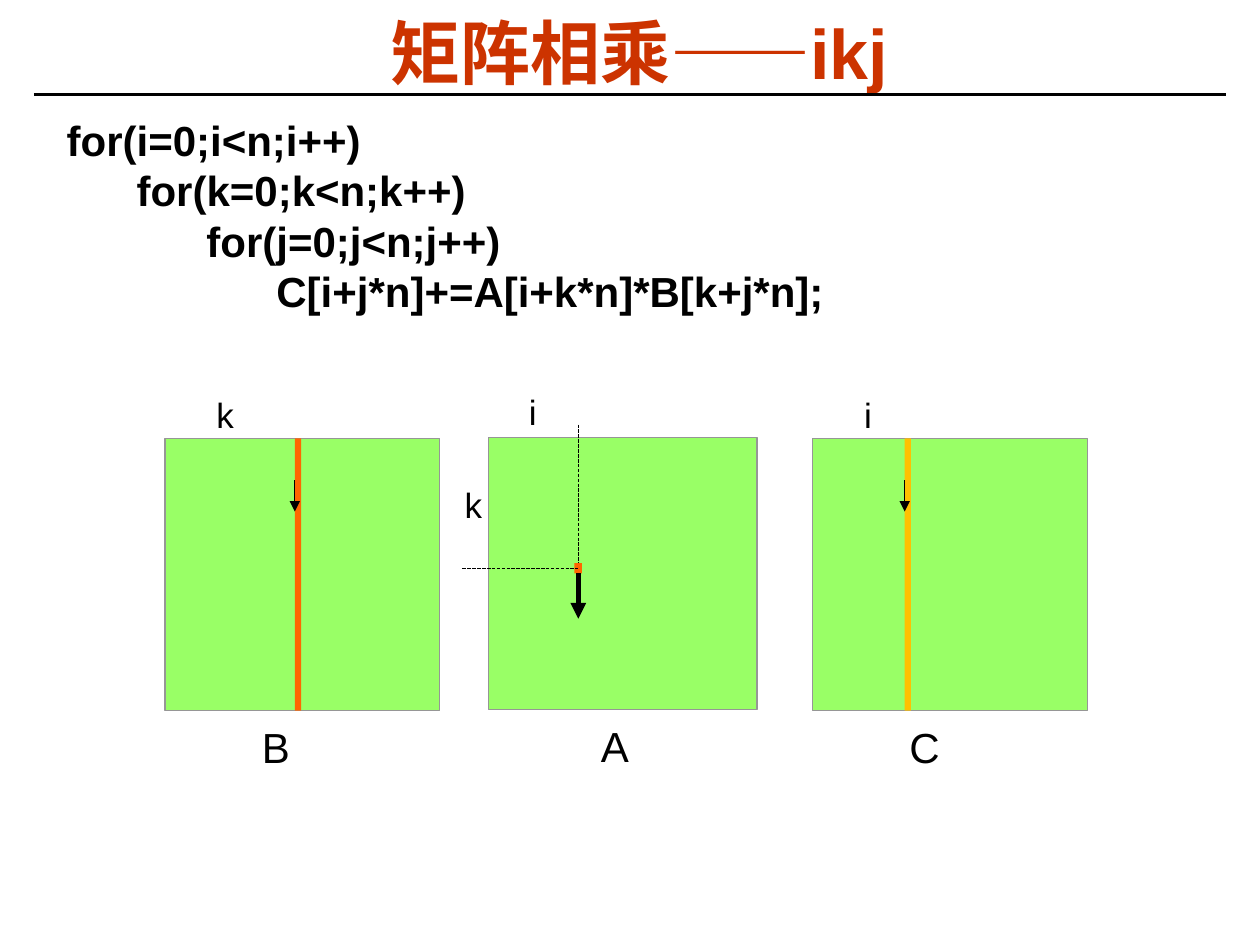
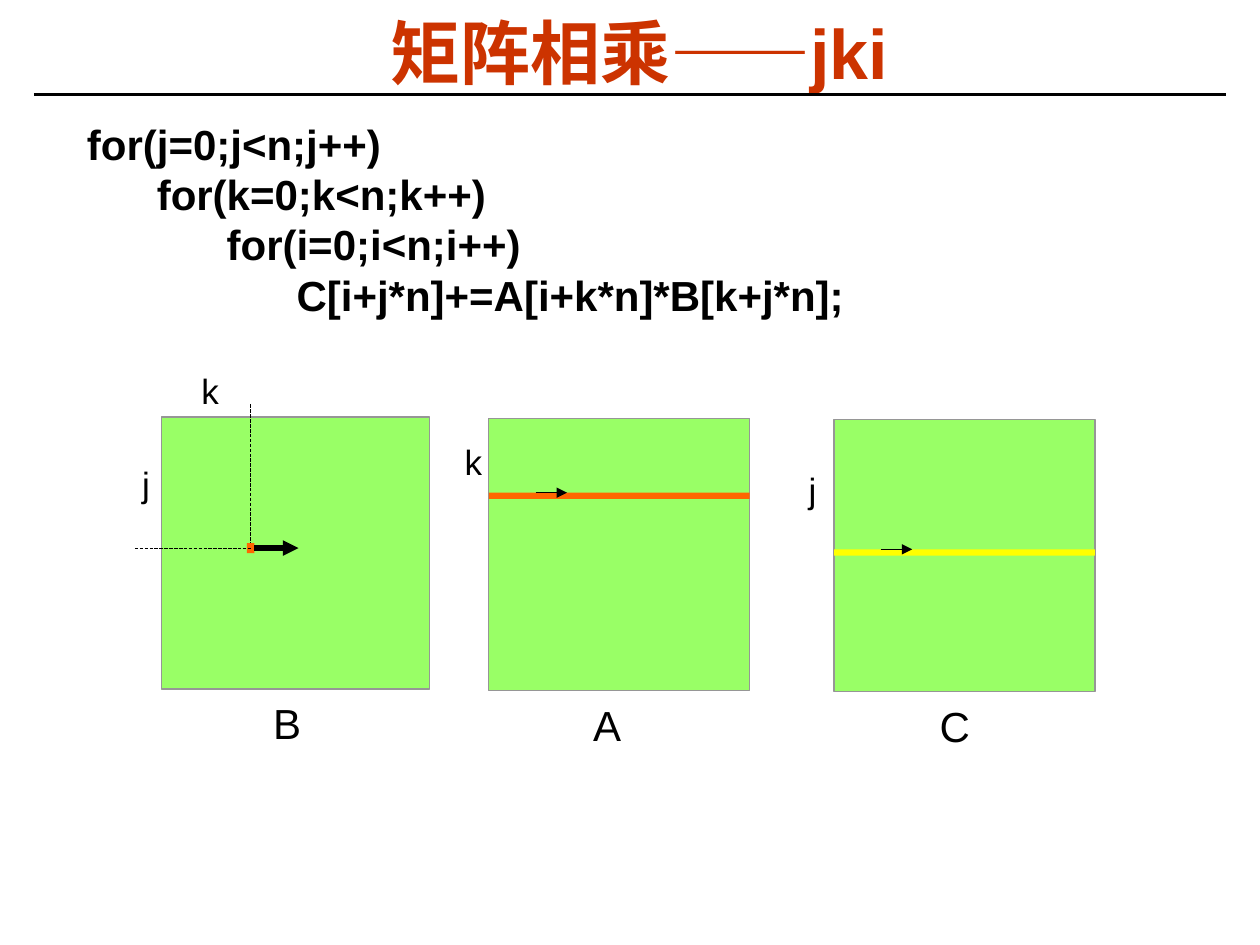
from dataclasses import dataclass
from lxml.etree import SubElement
from pptx import Presentation
from pptx.dml.color import RGBColor
from pptx.enum.dml import MSO_LINE
from pptx.enum.lang import MSO_LANGUAGE_ID
from pptx.enum.shapes import MSO_CONNECTOR, MSO_SHAPE
from pptx.enum.text import MSO_ANCHOR, MSO_AUTO_SIZE, PP_ALIGN
from pptx.oxml.ns import qn
from pptx.util import Inches, Pt

TOP, BOTTOM, RIGHT = 0, 2, 3
SIDE = 2.16
STRIP = 0.05


@dataclass(frozen=True)
class Theme:
    font: str = "Arial"
    title: str = "CC3300"
    ink: str = "000000"
    matrix: str = "99FF66"
    border: str = "969696"
    active: str = "FF6600"
    amber: str = "FFC000"
    yellow: str = "FFFF00"
    title_size: int = 40
    code_size: int = 24
    name_size: int = 24
    index_size: int = 20
    code_pitch: float = 28.75


class Deck:
    def __init__(self, theme):
        self.theme = theme
        self.prs = Presentation()
        self.prs.slide_width, self.prs.slide_height = Inches(10), Inches(7.5)
        self.s = None

    def run(self, p, text, size, color, bold=False):
        r = p.add_run()
        r.text = text
        r.font.name = self.theme.font
        r.font.size = Pt(size)
        r.font.bold = bold
        r.font.color.rgb = RGBColor.from_string(color)
        return r

    def frame(self, tf, side=0.1, edge=0.05):
        tf.word_wrap = True
        tf.auto_size = MSO_AUTO_SIZE.SHAPE_TO_FIT_TEXT
        tf.margin_left = tf.margin_right = Inches(side)
        tf.margin_top = tf.margin_bottom = Inches(edge)
        return tf

    def slide(self, title):
        t = self.theme
        self.s = self.prs.slides.add_slide(self.prs.slide_layouts[5])
        self.line((0.27, 0.75), (9.73, 0.75), 1.5)
        sp = self.s.shapes.title
        sp.left, sp.top = Inches(0.26), Inches(0.14)
        sp.width, sp.height = Inches(9.63), Inches(0.64)
        tf = self.frame(sp.text_frame, 0.07, 0.03)
        tf.vertical_anchor = MSO_ANCHOR.MIDDLE
        p = tf.paragraphs[0]
        p.alignment = PP_ALIGN.CENTER
        p.line_spacing = 0.87
        r = self.run(p, title, t.title_size, t.title, True)
        r.font.language_id = MSO_LANGUAGE_ID.SIMPLIFIED_CHINESE

    def text_box(self, left, top, width, height):
        return self.s.shapes.add_textbox(
            Inches(left), Inches(top), Inches(width), Inches(height)).text_frame

    def code(self, left, top, lines):
        t = self.theme
        tf = self.frame(self.text_box(left, top, 9, 2.07), 0.07, 0.03)
        for i, text in enumerate(lines):
            p = tf.add_paragraph() if i else tf.paragraphs[0]
            p.line_spacing = Pt(t.code_pitch)
            self.run(p, text, t.code_size, t.ink, True)

    def label(self, text, left, top, size, height):
        tf = self.frame(self.text_box(left, top, 0.8, height))
        self.run(tf.paragraphs[0], text, size, self.theme.ink)

    def index(self, text, left, top):
        self.label(text, left, top, self.theme.index_size, 0.44)

    def rect(self, left, top, width, height, fill, border=None):
        sp = self.s.shapes.add_shape(
            MSO_SHAPE.RECTANGLE, Inches(left), Inches(top), Inches(width), Inches(height))
        sp.shadow.inherit = False
        sp.fill.solid()
        sp.fill.fore_color.rgb = RGBColor.from_string(fill)
        if border:
            sp.line.color.rgb = RGBColor.from_string(border)
            sp.line.width = Pt(0.75)
        else:
            sp.line.fill.background()
        return sp

    def matrix(self, name, left, top, width, name_left, name_gap):
        t = self.theme
        self.rect(left, top, width, SIDE, t.matrix, t.border)
        self.label(name, name_left, top + name_gap, t.name_size, 0.51)

    def line(self, start, end, width, arrow=False, dashed=False):
        sp = self.s.shapes.add_connector(
            MSO_CONNECTOR.STRAIGHT, *(Inches(v) for v in (*start, *end)))
        sp.line.color.rgb = RGBColor.from_string(self.theme.ink)
        sp.line.width = Pt(width)
        if dashed:
            sp.line.dash_style = MSO_LINE.LONG_DASH
        if arrow:
            SubElement(sp.line._get_or_add_ln(), qn("a:tailEnd"), type="triangle")
        SubElement(sp._element.spPr, qn("a:effectLst"))
        return sp

    def column(self, left, top, color):
        self.rect(left, top, STRIP, SIDE, color)
        self.line((left, top + 0.33), (left, top + 0.58), 0.75, arrow=True)

    def row(self, left, top, width, color):
        self.rect(left, top, width, STRIP, color)
        self.line((left + 0.37, top), (left + 0.62, top), 0.75, arrow=True)

    def element(self, left, top, step, step_side):
        cell = self.rect(left, top, 0.06, 0.08, self.theme.active)
        x, y = left + 0.03, top + 0.04
        arrow = self.line((x, y), (x + step[0], y + step[1]), 3, arrow=True)
        arrow.begin_connect(cell, step_side)
        guide = self.line((x, top - 1.1), (x, top), 0.25, dashed=True)
        guide.end_connect(cell, TOP)
        self.line((x - 0.92, y), (x, y), 0.25, dashed=True)


def loops(order):
    heads = [f"for({v}=0;{v}<n;{v}++)" for v in order]
    lines = heads + ["C[i+j*n]+=A[i+k*n]*B[k+j*n];"]
    return [" " * 6 * depth + text for depth, text in enumerate(lines)]


def ikj_slide(deck):
    t = deck.theme
    deck.slide("矩阵相乘——ikj")
    deck.code(0.46, 0.88, loops("ikj"))
    deck.matrix("B", 1.31, 3.48, 2.18, 1.98, 2.2)
    deck.column(2.34, 3.48, t.active)
    deck.index("k", 1.62, 3.07)
    deck.matrix("A", 3.88, 3.47, 2.13, 4.67, 2.2)
    deck.element(4.56, 4.47, (0, 0.4), BOTTOM)
    deck.index("k", 3.59, 3.79)
    deck.index("i", 4.1, 3.05)
    deck.matrix("C", 6.45, 3.48, 2.18, 7.12, 2.2)
    deck.column(7.18, 3.48, t.amber)
    deck.index("i", 6.76, 3.07)


def jki_slide(deck):
    t = deck.theme
    deck.slide("矩阵相乘——jki")
    deck.code(0.62, 0.91, loops("jki"))
    deck.matrix("B", 1.28, 3.31, 2.13, 2.07, 2.18)
    deck.element(1.96, 4.31, (0.38, 0), RIGHT)
    deck.index("j", 1.03, 3.62)
    deck.index("k", 1.5, 2.88)
    deck.matrix("A", 3.88, 3.32, 2.07, 4.61, 2.18)
    deck.row(3.88, 3.91, 2.07, t.active)
    deck.index("k", 3.59, 3.45)
    deck.matrix("C", 6.62, 3.33, 2.07, 7.36, 2.18)
    deck.row(6.62, 4.36, 2.07, t.yellow)
    deck.index("j", 6.32, 3.67)


def main():
    deck = Deck(Theme())
    ikj_slide(deck)
    jki_slide(deck)
    deck.prs.save("out.pptx")


if __name__ == "__main__":
    main()
